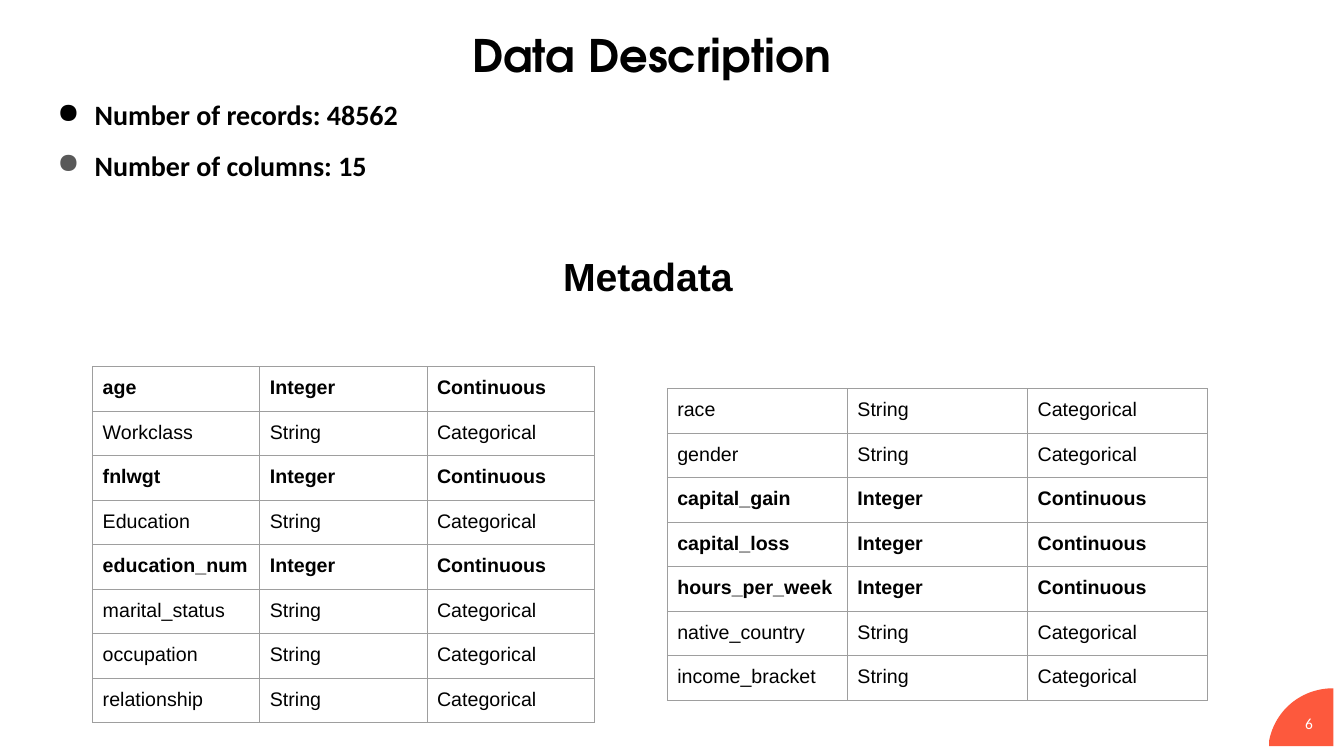
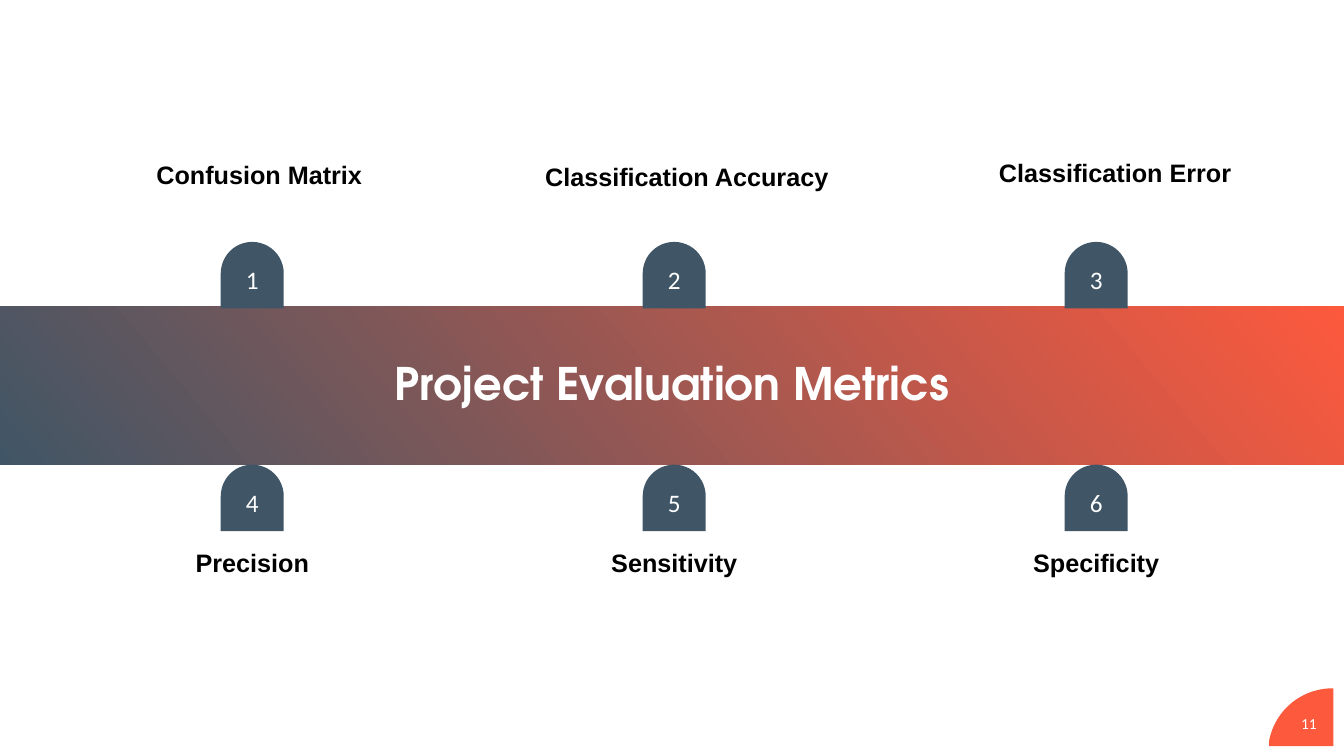
from lxml.etree import SubElement
from pptx import Presentation
from pptx.dml.color import RGBColor
from pptx.enum.shapes import MSO_SHAPE
from pptx.enum.text import MSO_ANCHOR, PP_ALIGN
from pptx.oxml.ns import qn
from pptx.util import Pt

SLIDE_W, SLIDE_H = 960, 540
COLORS = {
    "ink": "000000", "paper": "FFFFFF", "accent": "FD593D",
    "slate": "405666", "rule": "9E9E9E", "soft": "595959",
}
HEADING_FONT, BODY_FONT, LABEL_FONT = "TeX Gyre Adventor", "Calibri", "Arial"
STYLES = {
    "title": {"name": HEADING_FONT, "size": Pt(32), "bold": True},
    "bullet": {"name": BODY_FONT, "size": Pt(20), "bold": True},
    "subtitle": {"name": LABEL_FONT, "size": Pt(28), "bold": True},
    "metric": {"name": LABEL_FONT, "size": Pt(18), "bold": True},
    "number": {"name": BODY_FONT, "size": Pt(18), "bold": False},
    "page": {"name": BODY_FONT, "size": Pt(11), "bold": False},
    "field": {"name": LABEL_FONT, "size": Pt(14), "bold": False},
    "numeric field": {"name": LABEL_FONT, "size": Pt(14), "bold": True},
}
INSET = 7.2
NARROW = 3.6
MEASURES = {"Integer": "Continuous", "String": "Categorical"}
FIRST_FIELDS = [
    ("age", "Integer"), ("Workclass", "String"), ("fnlwgt", "Integer"),
    ("Education", "String"), ("education_num", "Integer"),
    ("marital_status", "String"), ("occupation", "String"),
    ("relationship", "String"),
]
LAST_FIELDS = [
    ("race", "String"), ("gender", "String"), ("capital_gain", "Integer"),
    ("capital_loss", "Integer"), ("hours_per_week", "Integer"),
    ("native_country", "String"), ("income_bracket", "String"),
]
ROW_H = 31.8
TAB_W, TAB_H = 45, 47.5
FIRST_CENTER, CENTER_STEP = 180.2, 301.4
UPPER_METRICS = [
    ("Confusion Matrix", 5, 112.3),
    ("Classification Accuracy", 9, 113.8),
    ("Classification Error", 13.5, 110.9),
]
LOWER_METRICS = [(name, 0, 389.5) for name in ("Precision", "Sensitivity", "Specificity")]


def rgb(color):
    return RGBColor.from_string(COLORS[color])


def apply(target, values):
    for attribute, value in values.items():
        setattr(target, attribute, value)


def points(box):
    return [Pt(length) for length in box]


def write(paragraph, text, style, color="ink", **layout):
    run = paragraph.add_run()
    run.text = text
    apply(run.font, STYLES[style])
    run.font.color.rgb = rgb(color)
    apply(paragraph, layout)


def set_frame(frame, anchor, side, top):
    apply(frame, {
        "word_wrap": True, "vertical_anchor": anchor,
        "margin_left": Pt(side), "margin_right": Pt(side),
        "margin_top": Pt(top), "margin_bottom": Pt(top),
    })
    return frame


def add_text(slide, box, text, style, color="ink", anchor=MSO_ANCHOR.MIDDLE,
             side=INSET, top=NARROW, **layout):
    frame = set_frame(slide.shapes.add_textbox(*points(box)).text_frame, anchor, side, top)
    write(frame.paragraphs[0], text, style, color, alignment=PP_ALIGN.CENTER, **layout)


def paint(shape, color):
    shape.shadow.inherit = False
    shape.fill.solid()
    shape.fill.fore_color.rgb = rgb(color)
    shape.line.fill.background()


def add_page_corner(slide, box, page):
    left, top, width, height = box
    start, pull_start, pull_end, end = (0, 0.91), (0.09, 0.38), (0.5, 0), (1, 0)
    steps = 24
    arc = []
    for step in range(steps + 1):
        t = step / steps
        weights = ((1 - t) ** 3, 3 * t * (1 - t) ** 2, 3 * t ** 2 * (1 - t), t ** 3)
        anchors = (start, pull_start, pull_end, end)
        across, down = (sum(w * p[axis] for w, p in zip(weights, anchors)) for axis in (0, 1))
        arc.append((Pt(left + across * width), Pt(top + down * height)))
    outline = slide.shapes.build_freeform(Pt(left + width), Pt(top + height))
    outline.add_line_segments([(Pt(left), Pt(top + height))] + arc, close=True)
    paint(outline.convert_to_shape(), "accent")
    add_text(slide, (left + 13, top + 10.8, 31, 28.8), str(page), "page", "paper")


def add_bullets(slide, box, items):
    frame = set_frame(slide.shapes.add_textbox(*points(box)).text_frame,
                      MSO_ANCHOR.TOP, INSET, INSET)
    for index, (text, bullet_color) in enumerate(items):
        paragraph = frame.add_paragraph() if index else frame.paragraphs[0]
        write(paragraph, text, "bullet", space_before=Pt(12))
        properties = paragraph._p.get_or_add_pPr()
        properties.set("marL", str(Pt(36)))
        properties.set("indent", str(Pt(-26.6)))
        tint = SubElement(properties, qn("a:buClr"))
        SubElement(tint, qn("a:srgbClr")).set("val", COLORS[bullet_color])
        SubElement(properties, qn("a:buChar")).set("char", "●")


def rule_cell(cell):
    properties = cell._tc.get_or_add_tcPr()
    for side in ("lnL", "lnR", "lnT", "lnB"):
        border = SubElement(properties, qn("a:" + side))
        border.set("w", str(Pt(0.75)))
        ink = SubElement(border, qn("a:solidFill"))
        SubElement(ink, qn("a:srgbClr")).set("val", COLORS["rule"])


def add_fields(slide, left, top, column_w, fields):
    box = (left, top, 3 * column_w, ROW_H * len(fields))
    table = slide.shapes.add_table(len(fields), 3, *points(box)).table
    apply(table, {"first_row": False, "horz_banding": False})
    for column in table.columns:
        column.width = Pt(column_w)
    for row, (name, kind) in enumerate(fields):
        table.rows[row].height = Pt(ROW_H)
        style = "numeric field" if kind == "Integer" else "field"
        for column, text in enumerate((name, kind, MEASURES[kind])):
            cell = table.cell(row, column)
            apply(cell, {"margin_" + side: Pt(INSET)
                         for side in ("left", "right", "top", "bottom")})
            write(cell.text_frame.paragraphs[0], text, style)
            rule_cell(cell)
            cell.fill.background()


def add_band(slide, box, title):
    left, top, width, height = box
    band = slide.shapes.add_shape(MSO_SHAPE.RECTANGLE, *points(box))
    band.shadow.inherit = False
    band.line.fill.background()
    band.fill.gradient()
    band.fill.gradient_angle = 40
    for stop, color in zip(band.fill.gradient_stops, ("slate", "accent")):
        stop.color.rgb = rgb(color)
    add_text(slide, (left + 47.5, top + 21.6, width - 95, height - 42.5),
             title, "title", "paper", line_spacing=0.9)


def add_metrics(slide, tab_top, metrics, first_number):
    for index, (name, shift, label_top) in enumerate(metrics):
        center = FIRST_CENTER + index * CENTER_STEP
        tab = slide.shapes.add_shape(
            MSO_SHAPE.ROUND_2_SAME_RECTANGLE,
            *points((center - TAB_W / 2, tab_top, TAB_W, TAB_H)))
        tab.adjustments[0] = 0.5
        tab.adjustments[1] = 0
        paint(tab, "slate")
        frame = set_frame(tab.text_frame, MSO_ANCHOR.MIDDLE, INSET, NARROW)
        write(frame.paragraphs[0], str(first_number + index), "number", "paper",
              alignment=PP_ALIGN.CENTER)
        add_text(slide, (center + shift - 114, label_top, 228, 24.5), name, "metric",
                 side=0, top=0)


def add_slide(deck, page):
    slide = deck.slides.add_slide(deck.slide_layouts[6])
    add_page_corner(slide, (906.5, 491.6, 46, 41.4), page)
    return slide


def build_description(deck):
    slide = add_slide(deck, 6)
    add_text(slide, (24.5, 17.3, 882, 45.4), "Data Description", "title",
             anchor=MSO_ANCHOR.TOP, top=INSET, line_spacing=0.9)
    add_bullets(slide, (24.5, 62.6, 882, 100),
                [("Number of records: 48562", "ink"), ("Number of columns: 15", "soft")])
    add_text(slide, (33.8, 172.8, 858, 49), "Metadata", "subtitle",
             anchor=MSO_ANCHOR.TOP, top=INSET)
    add_fields(slide, 66.2, 262, 119.4, FIRST_FIELDS)
    add_fields(slide, 476.6, 277.8, 128.7, LAST_FIELDS)


def build_metrics(deck):
    slide = add_slide(deck, 11)
    add_band(slide, (0, 218.9, SLIDE_W, 113), "Project Evaluation Metrics")
    add_metrics(slide, 172.8, UPPER_METRICS, 1)
    add_metrics(slide, 331.9, LOWER_METRICS, 4)


def main():
    deck = Presentation()
    apply(deck, {"slide_width": Pt(SLIDE_W), "slide_height": Pt(SLIDE_H)})
    build_description(deck)
    build_metrics(deck)
    deck.save("out.pptx")


if __name__ == "__main__":
    main()
